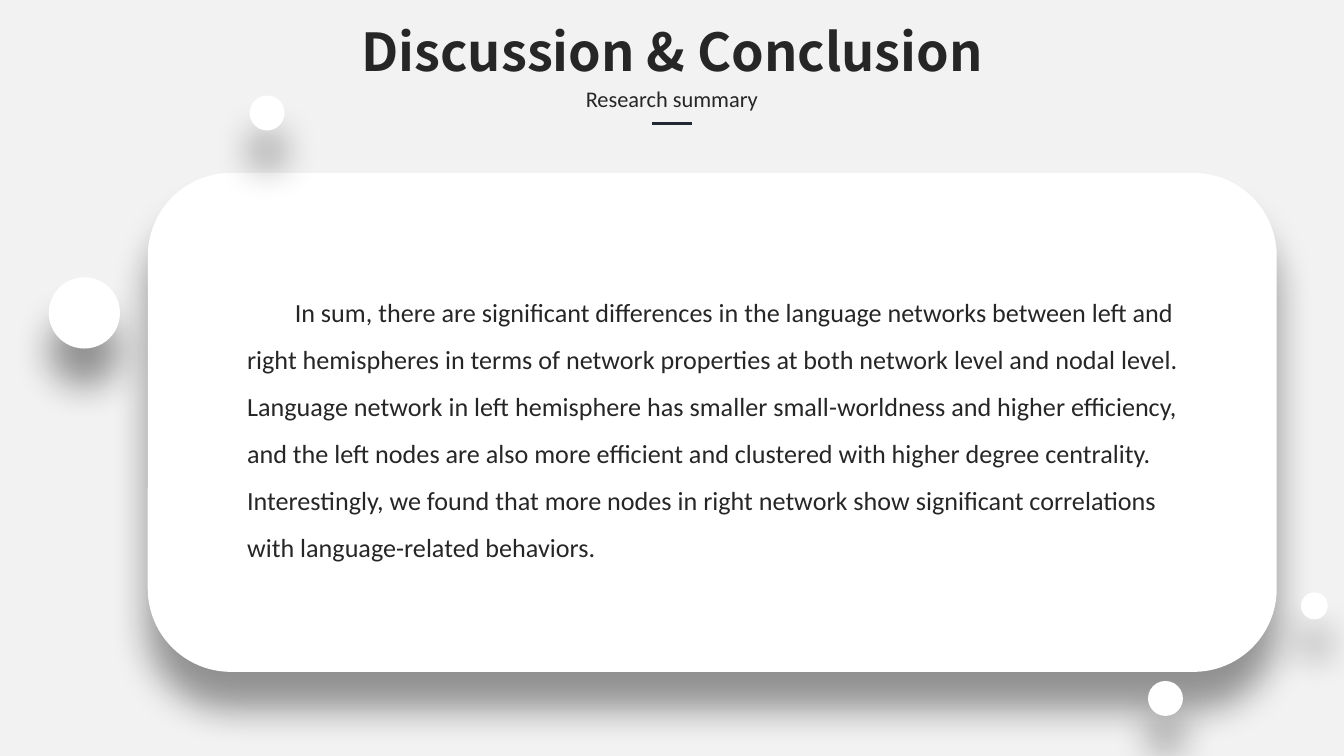
from lxml import etree
from pptx import Presentation
from pptx import util as u
from pptx.dml.color import RGBColor
from pptx.enum import shapes, text
from pptx.oxml.ns import qn

INK, WHITE, RULE, PAPER = "262626", "FFFFFF", "212834", "F2F2F2"
TITLE = "Discussion & Conclusion"
SUBTITLE = "Research summary"
SUMMARY = (
    "In sum, there are significant differences in the language networks between left and "
    "right hemispheres in terms of network properties at both network level and nodal level. "
    "Language network in left hemisphere has smaller small-worldness and higher efficiency, "
    "and the left nodes are also more efficient and clustered with higher degree centrality. "
    "Interestingly, we found that more nodes in right network show significant correlations "
    "with language-related behaviors."
)

PANEL = (11, 22.88, 84, 66)
TITLE_BOX = (24.7, 1.7, 50.6, 10.14)
SUBTITLE_BOX = (42.6, 10.4, 14.8, 5.34)
SUMMARY_BOX = (17.4, 36.3, 71.6, 38.8)
RULE_X, RULE_Y = (48.5, 51.5), 16.37
BUBBLES = [
    (6.28, 41.4, 5.3),
    (19.88, 14.95, 2.6),
    (86.72, 92.4, 2.6),
    (97.8, 80.15, 2),
]

prs = Presentation()
prs.slide_width = u.Inches(10)
prs.slide_height = prs.slide_width * 9 // 16


def across(share):
    return round(prs.slide_width * share / 100)


def down(share):
    return round(prs.slide_height * share / 100)


def frame(box):
    x, y, w, h = box
    return across(x), down(y), across(w), down(h)


def rgb(value):
    return RGBColor.from_string(value)


def add_floating(s, kind, box):
    sp = s.shapes.add_shape(kind, *box)
    sp.fill.solid()
    sp.fill.fore_color.rgb = rgb(WHITE)
    sp.line.fill.background()
    effects = etree.SubElement(sp.element.spPr, qn("a:effectLst"))
    shadow = etree.SubElement(
        effects, qn("a:outerShdw"), blurRad=str(u.Pt(20)), dist=str(u.Pt(20)),
        dir=str(90 * 60000), algn="t", rotWithShape="0")
    color = etree.SubElement(shadow, qn("a:srgbClr"), val="000000")
    etree.SubElement(color, qn("a:alpha"), val="40000")


def write(sp, words, size, font, align, wrap=False, bold=False):
    tf = sp.text_frame
    tf.text = words
    tf.word_wrap = wrap
    tf.auto_size = text.MSO_AUTO_SIZE.SHAPE_TO_FIT_TEXT
    tf.vertical_anchor = text.MSO_ANCHOR.TOP
    p = tf.paragraphs[0]
    p.alignment = align
    f = p.runs[0].font
    f.size, f.name, f.bold = u.Pt(size), font, bold
    f.color.rgb = rgb(INK)
    return p


s = prs.slides.add_slide(prs.slide_layouts[5])
s.background.fill.solid()
s.background.fill.fore_color.rgb = rgb(PAPER)

add_floating(s, shapes.MSO_SHAPE.ROUNDED_RECTANGLE, frame(PANEL))
for x, y, size in BUBBLES:
    d = across(size)
    add_floating(s, shapes.MSO_SHAPE.OVAL, (across(x) - d // 2, down(y) - d // 2, d, d))

center, left = text.PP_ALIGN.CENTER, text.PP_ALIGN.LEFT
title = s.shapes.title
title.left, title.top, title.width, title.height = frame(TITLE_BOX)
write(title, TITLE, 28, "Noto Sans CJK SC", center, bold=True)
write(s.shapes.add_textbox(*frame(SUBTITLE_BOX)), SUBTITLE, 12, "Calibri", center)

rule = s.shapes.add_connector(
    shapes.MSO_CONNECTOR.STRAIGHT,
    across(RULE_X[0]), down(RULE_Y), across(RULE_X[1]), down(RULE_Y))
rule.line.color.rgb = rgb(RULE)
rule.line.width = u.Pt(1.5)
etree.SubElement(rule.element.spPr, qn("a:effectLst"))

p = write(s.shapes.add_textbox(*frame(SUMMARY_BOX)), SUMMARY, 14, "Calibri", left, wrap=True)
p.line_spacing = 1.5
p._p.get_or_add_pPr().set("indent", str(across(3.55)))

prs.save("out.pptx")
